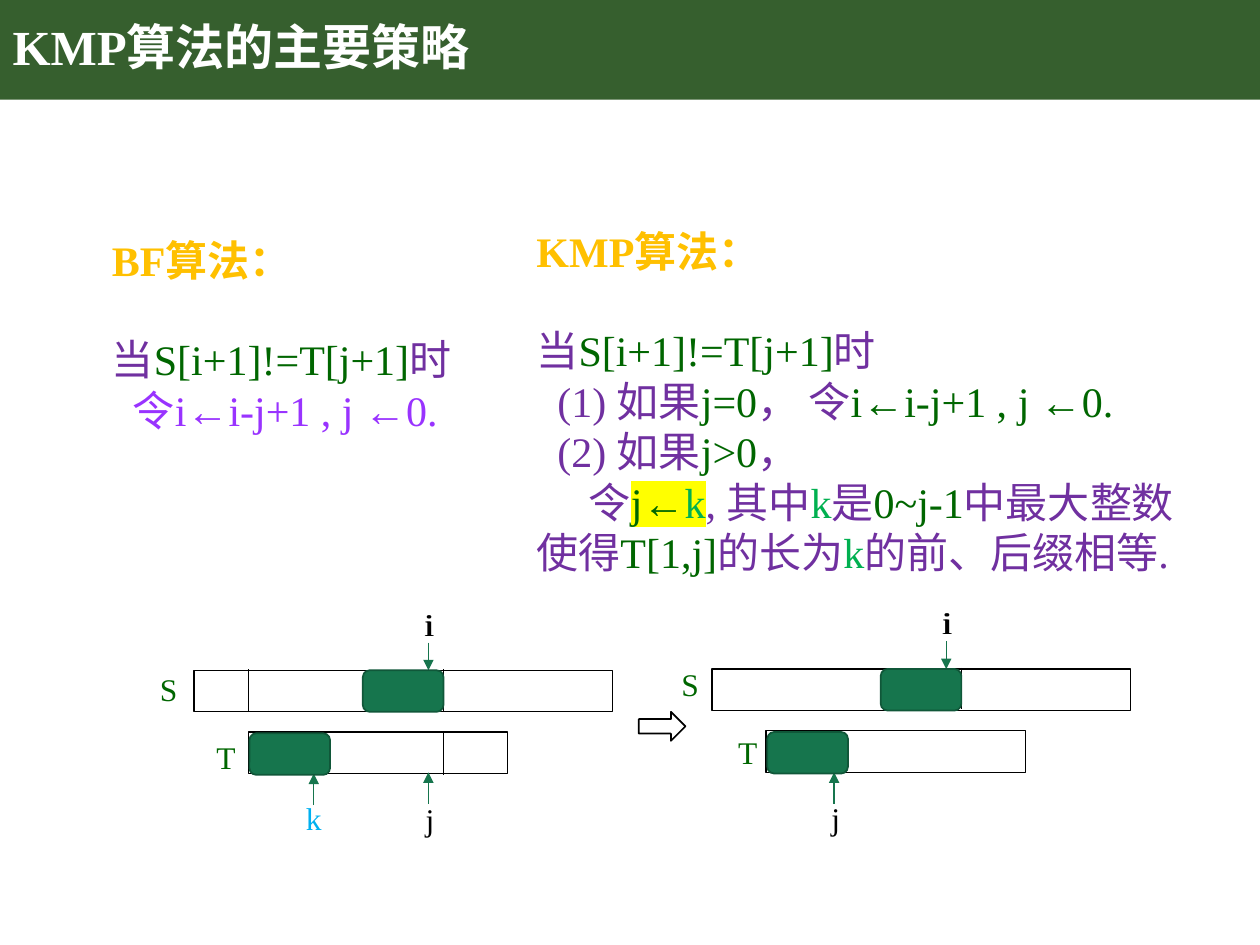
from dataclasses import dataclass
from typing import Optional

from lxml.etree import SubElement
from pptx import Presentation
from pptx.dml.color import RGBColor
from pptx.enum.shapes import MSO_CONNECTOR, MSO_SHAPE
from pptx.enum.text import MSO_ANCHOR, MSO_AUTO_SIZE, PP_ALIGN
from pptx.oxml import parse_xml
from pptx.oxml.ns import nsdecls, qn
from pptx.util import Inches, Pt

FONT = "Times New Roman"
WHITE = RGBColor(0xFF, 0xFF, 0xFF)
BLACK = RGBColor(0, 0, 0)
BAND = RGBColor(0x36, 0x5F, 0x2E)
GOLD = RGBColor(0xFF, 0xC0, 0x00)
PURPLE = RGBColor(0x70, 0x30, 0xA0)
VIOLET = RGBColor(0x99, 0x33, 0xFF)
FOREST = RGBColor(0x00, 0x66, 0x00)
GREEN = RGBColor(0x00, 0xB0, 0x50)
SKY = RGBColor(0x00, 0xB0, 0xF0)
BLOCK = RGBColor(0x16, 0x75, 0x4D)
BLOCK_EDGE = RGBColor(0x10, 0x57, 0x39)

# The slide is a grid of 100 columns and 75 rows.
CELL = Inches(0.1)
BAR_ROWS = 3.3
T_ROW = 4.9
BLOCK_COLS = 6.4
SPLIT_COL = 19.8
I_COL = 18.6


@dataclass
class Span:
    text: str
    color: RGBColor
    bold: bool = False
    marked: bool = False


@dataclass
class Line:
    spans: list[Span]
    indent: float = 0
    after: float = 0


@dataclass
class Label:
    text: str
    col: float
    row: float
    color: RGBColor = BLACK
    cols: float = 3.6


@dataclass
class Stroke:
    col: float
    start: float
    end: float
    width: float = 0.5
    arrow: bool = False


@dataclass
class Panel:
    """Strings S and T; labels and strokes count from the corner of S."""
    col: float
    row: float
    labels: list[Label]
    strokes: list[Stroke]


def cells(*counts: float) -> list[int]:
    return [round(count * CELL) for count in counts]


def add_figure(page, kind, area: tuple, fill: Optional[RGBColor],
               edge: Optional[RGBColor], width: float = 1):
    figure = page.shapes.add_shape(kind, *cells(*area))
    figure.shadow.inherit = False
    for part, color in ((figure.fill, fill), (figure.line.fill, edge)):
        if color is None:
            part.background()
        else:
            part.solid()
            part.fore_color.rgb = color
    if edge is not None:
        figure.line.width = Pt(width)
    return figure


def write_span(para, span: Span, size: float) -> None:
    run = para.add_run()
    run.text = span.text
    form = {"name": FONT, "size": Pt(size), "bold": span.bold}
    for key, value in form.items():
        setattr(run.font, key, value)
    run.font.color.rgb = span.color
    if span.marked:
        fill = run.font.fill._xPr.find(qn("a:solidFill"))
        fill.addnext(parse_xml(f'<a:highlight {nsdecls("a")}>'
                               '<a:srgbClr val="FFFF00"/></a:highlight>'))


def add_text(page, area: tuple, lines: list[Line], size: float) -> None:
    frame = page.shapes.add_textbox(*cells(*area)).text_frame
    frame.word_wrap = True
    for number, line in enumerate(lines):
        para = frame.add_paragraph() if number else frame.paragraphs[0]
        para.space_after = Pt(line.after)
        if line.indent:
            para._p.get_or_add_pPr().set("indent", str(Pt(line.indent)))
        for span in line.spans:
            write_span(para, span, size)


def add_stroke(page, panel: Panel, stroke: Stroke) -> None:
    col = panel.col + stroke.col
    line = page.shapes.add_connector(
        MSO_CONNECTOR.STRAIGHT,
        *cells(col, panel.row + stroke.start, col, panel.row + stroke.end))
    line.line.width = Pt(stroke.width)
    line.line.color.rgb = BLOCK if stroke.arrow else BLACK
    if stroke.arrow:
        SubElement(line.line._get_or_add_ln(), qn("a:tailEnd"), type="triangle")
    SubElement(line._element.spPr, qn("a:effectLst"))


def add_panel(page, panel: Panel) -> None:
    for col, row, cols in ((0, 0, 33.2), (4.3, T_ROW, 20.6)):
        area = (panel.col + col, panel.row + row, cols, BAR_ROWS)
        add_figure(page, MSO_SHAPE.RECTANGLE, area, None, BLACK, 0.75)
    shared = [Stroke(SPLIT_COL, -0.1, 3.2), Stroke(I_COL, -2.2, 0, arrow=True)]
    for stroke in shared + panel.strokes:
        add_stroke(page, panel, stroke)
    for col, row in ((4.4, T_ROW + 0.1), (SPLIT_COL - BLOCK_COLS, 0)):
        area = (panel.col + col, panel.row + row, BLOCK_COLS, BAR_ROWS)
        add_figure(page, MSO_SHAPE.ROUNDED_RECTANGLE, area, BLOCK, BLOCK_EDGE)
    pointer = [Label("i", col, -5.7) for col in (17.3, 17.4)]
    for label in pointer + panel.labels:
        area = (panel.col + label.col, panel.row + label.row, label.cols, 4)
        add_text(page, area, [Line([Span(label.text, label.color)])], 18)


def add_title(page, text: str) -> None:
    title = page.shapes.title
    place = dict(zip(("left", "top", "width", "height"), cells(0, 0, 86.2, 7.9)))
    for key, value in place.items():
        setattr(title, key, value)
    frame = title.text_frame
    form = {"vertical_anchor": MSO_ANCHOR.MIDDLE, "word_wrap": True,
            "auto_size": MSO_AUTO_SIZE.NONE}
    for key, value in form.items():
        setattr(frame, key, value)
    para = frame.paragraphs[0]
    para.alignment = PP_ALIGN.LEFT
    para.line_spacing = 0.9
    write_span(para, Span(text, WHITE, bold=True), 28)
    band = add_figure(page, MSO_SHAPE.RECTANGLE, (0, 0, 100, 7.9), BAND, None)
    title._element.addprevious(band._element)


def heading(text: str) -> Line:
    return Line([Span(text, GOLD, bold=True)], after=28)


MISMATCH = Line([Span("当", PURPLE), Span("S[i+1]!=T[j+1]", FOREST),
                 Span("时", PURPLE)])
BRUTE_FORCE = [heading("BF算法："), MISMATCH,
               Line([Span("令i←i-j+1 , j ←0.", VIOLET)], indent=12)]
KMP = [
    heading("KMP算法："),
    MISMATCH,
    Line([Span("(1) 如果", PURPLE), Span("j=0", FOREST), Span("， 令", PURPLE),
          Span("i←i-j+1 , j ←0.", FOREST)], indent=12),
    Line([Span("(2) 如果", PURPLE), Span("j>0", FOREST), Span("，", PURPLE)],
         indent=12),
    Line([Span("令", PURPLE), Span("j←", FOREST, marked=True),
          Span("k", GREEN, marked=True), Span(", 其中", PURPLE),
          Span("k", GREEN), Span("是", PURPLE), Span("0~j-1", FOREST),
          Span("中最大整数使得", PURPLE), Span("T[1,j]", FOREST),
          Span("的长为", PURPLE), Span("k", GREEN),
          Span("的前、后缀相等.", PURPLE)], indent=30),
]
PANELS = [
    Panel(15.4, 53.2,
          [Label("S", -3.7, -0.5, FOREST, 4.4), Label("T", 0.8, 4.9, FOREST, 4.4),
           Label("j", 17.4, 9.8), Label("k", 7.9, 9.7, SKY, 5)],
          [Stroke(4.3, -0.1, 3.2), Stroke(SPLIT_COL, T_ROW, 8.3),
           Stroke(I_COL, 10.6, 8.1, 0.75, True),
           Stroke(9.5, 10.7, 8.2, 0.75, True)]),
    Panel(56.5, 53.1,
          [Label("S", -3.4, -0.8, FOREST, 4.4), Label("T", 1.1, 4.6, FOREST, 4.4),
           Label("j", 8.5, 9.8)],
          [Stroke(9.7, 10.7, 8.2, 0.75, True)]),
]


def main() -> None:
    deck = Presentation()
    deck.slide_width, deck.slide_height = cells(100, 75)
    page = deck.slides.add_slide(deck.slide_layouts[5])
    add_title(page, "KMP算法的主要策略")
    add_text(page, (7.9, 18.1, 33.6, 21.2), BRUTE_FORCE, 24)
    add_text(page, (41.6, 17.4, 54.4, 29.3), KMP, 24)
    for panel in PANELS:
        add_panel(page, panel)
    add_figure(page, MSO_SHAPE.RIGHT_ARROW, (50.7, 56.5, 3.7, 2.3), WHITE, BLACK)
    deck.save("out.pptx")


if __name__ == "__main__":
    main()
